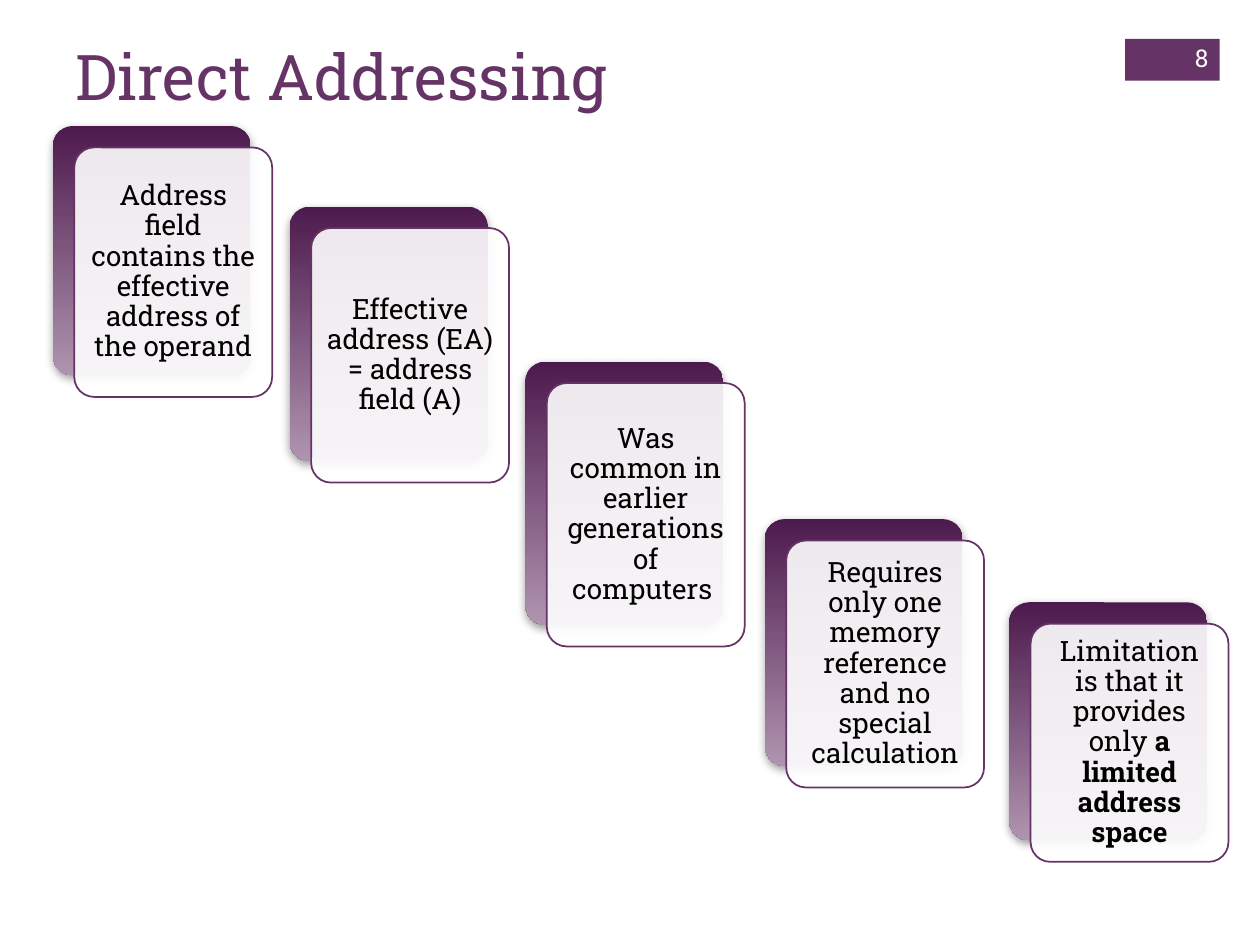
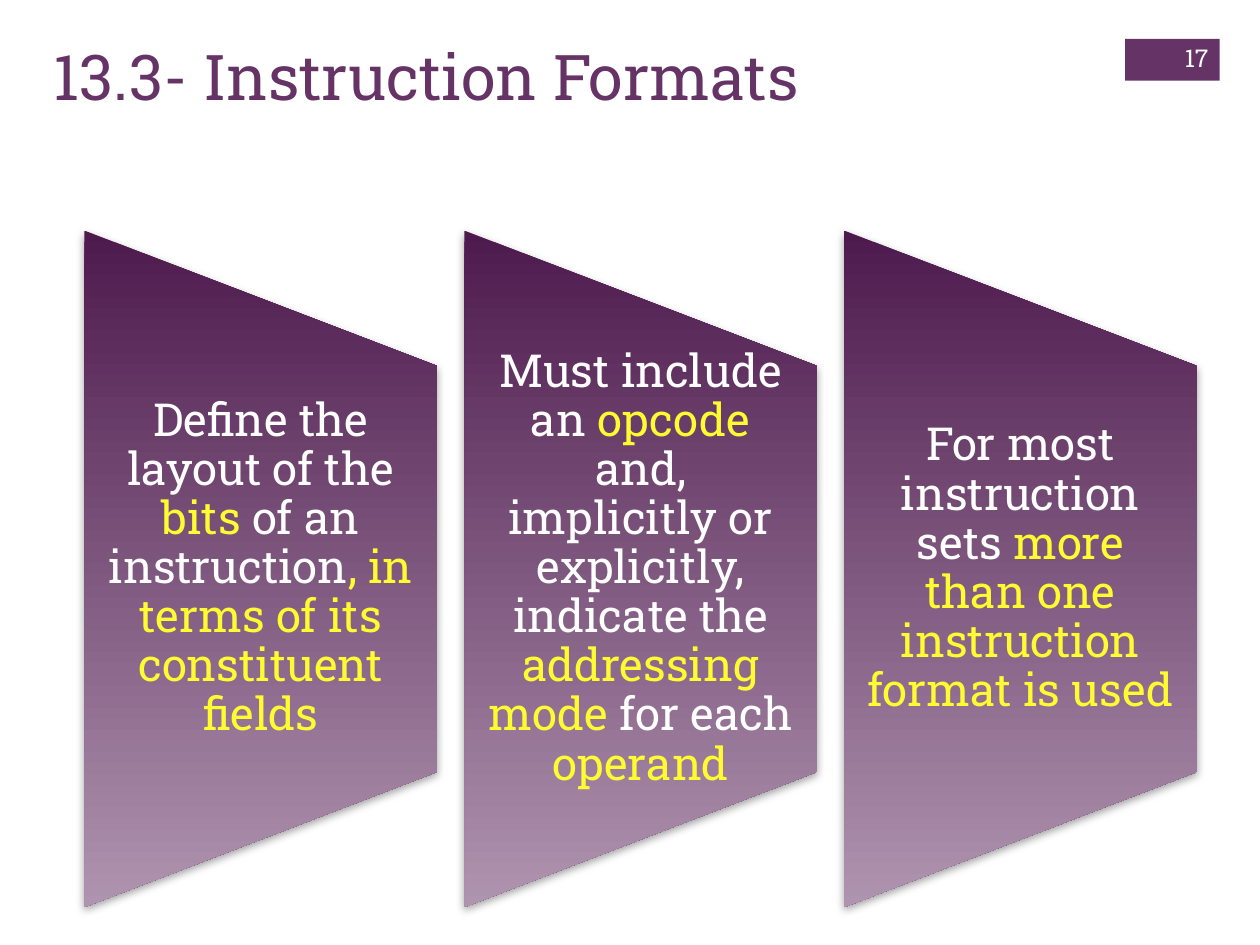
from dataclasses import dataclass
from lxml import etree
from pptx import Presentation
from pptx.dml.color import RGBColor
from pptx.enum.shapes import MSO_SHAPE
from pptx.enum.text import MSO_ANCHOR, PP_ALIGN
from pptx.oxml.ns import qn
from pptx.shapes.autoshape import Shape
from pptx.slide import Slide
from pptx.text.text import TextFrame
from pptx.util import Inches, Pt

RECT = MSO_SHAPE.RECTANGLE
ROUND = MSO_SHAPE.ROUNDED_RECTANGLE
TRAPEZE = MSO_SHAPE.FLOWCHART_MANUAL_OPERATION
LEFT, CENTER, RIGHT = PP_ALIGN.LEFT, PP_ALIGN.CENTER, PP_ALIGN.RIGHT
TOP, MIDDLE = MSO_ANCHOR.TOP, MSO_ANCHOR.MIDDLE


@dataclass(frozen=True)
class Theme:
    font: str = "Roboto Slab"
    plum: str = "663366"
    dark: str = "4D1A4D"
    light: str = "AF94AF"
    shade: str = "808080"
    white: str = "FFFFFF"
    black: str = "000000"
    yellow: str = "FEFB31"
    title: int = 36
    panel: int = 26
    card: int = 16
    page: int = 14


THEME = Theme()


@dataclass(frozen=True)
class Box:
    left: float
    top: float
    width: float
    height: float

    def lengths(self) -> tuple[Inches, ...]:
        return tuple(Inches(n) for n in (self.left, self.top, self.width, self.height))

    def shift(self, step: float) -> "Box":
        return Box(self.left + step, self.top + step, self.width, self.height)


@dataclass(frozen=True)
class Run:
    text: str
    color: str = THEME.white
    bold: bool = False


@dataclass(frozen=True)
class Card:
    left: float
    top: float
    height: float
    runs: tuple[Run, ...]


def dark(text: str, bold: bool = False) -> Run:
    return Run(text, THEME.black, bold)


def key(text: str) -> Run:
    return Run(text, THEME.yellow)


CARD_WIDTH = 1.57
CARD_STEP = 0.17
CARDS = (
    Card(0.42, 1.0, 1.98, (dark("Address field contains the effective address of the operand"),)),
    Card(2.3, 1.64, 2.02, (dark("Effective address (EA) = address field (A)"),)),
    Card(4.17, 2.87, 2.09, (dark("Was common in earlier generations of computers "),)),
    Card(6.07, 4.12, 1.96, (dark("Requires only one memory reference and no special calculation"),)),
    Card(8.01, 4.78, 1.89, (dark("Limitation is that it provides only "),
                            dark("a limited address space", True))),
)

PANEL = Box(0.67, 1.83, 2.8, 5.37)
PANEL_STEP = 3.015
PANEL_TEXT = 3.22
PANELS = (
    (Run("Define the layout of the "), key("bits"), Run(" of an instruction"),
     key(", in terms of its constituent fields")),
    (Run("Must include an "), key("opcode"),
     Run(" and, implicitly or explicitly, indicate the "),
     key("addressing mode "), Run("for each "), key("operand")),
    (Run("For most instruction sets "),
     key("more than one instruction format is used")),
)


def write(frame: TextFrame, runs: tuple[Run, ...], size: int, align: PP_ALIGN,
          anchor: MSO_ANCHOR, side: float = 0.1, edge: float = 0.05,
          space: float = 1.0) -> None:
    frame.word_wrap = True
    frame.vertical_anchor = anchor
    frame.margin_left = frame.margin_right = Inches(side)
    frame.margin_top = frame.margin_bottom = Inches(edge)
    para = frame.paragraphs[0]
    para.alignment = align
    para.line_spacing = space
    for item in runs:
        run = para.add_run()
        run.text = item.text
        run.font.name = THEME.font
        run.font.size = Pt(size)
        run.font.bold = item.bold
        run.font.color.rgb = RGBColor.from_string(item.color)


def add_text(slide: Slide, box: Box) -> TextFrame:
    return slide.shapes.add_textbox(*box.lengths()).text_frame


def add_form(slide: Slide, kind: MSO_SHAPE, box: Box) -> Shape:
    shape = slide.shapes.add_shape(kind, *box.lengths())
    shape.shadow.inherit = False
    shape.line.fill.background()
    return shape


def paint(shape: Shape, color: str) -> None:
    shape.fill.solid()
    shape.fill.fore_color.rgb = RGBColor.from_string(color)


def set_alpha(color: etree.ElementBase, percent: int) -> None:
    etree.SubElement(color, qn("a:alpha")).set("val", str(percent * 1000))


def blend(shape: Shape) -> None:
    shape.fill.gradient()
    shape.fill.gradient_angle = 270
    for stop, color in zip(shape.fill.gradient_stops, (THEME.dark, THEME.light)):
        stop.color.rgb = RGBColor.from_string(color)
    props = shape._element.spPr
    props.find(qn("a:gradFill")).set("rotWithShape", "0")
    shadow = etree.SubElement(props.find(qn("a:effectLst")), qn("a:outerShdw"))
    for name, value in (("blurRad", Pt(5)), ("dist", Pt(2)),
                        ("dir", 90 * 60000), ("rotWithShape", 0)):
        shadow.set(name, str(int(value)))
    color = etree.SubElement(shadow, qn("a:srgbClr"))
    color.set("val", THEME.shade)
    set_alpha(color, 75)


def add_base(deck: Presentation, title: str, left: float, page: int) -> Slide:
    slide = deck.slides.add_slide(deck.slide_layouts[6])
    paint(add_form(slide, RECT, Box(8.93, 0.31, 0.75, 0.33)), THEME.plum)
    write(add_text(slide, Box(left, 0.25, 8.26, 1.22)),
          (Run(title, THEME.plum),), THEME.title, LEFT, TOP)
    write(add_text(slide, Box(9.08, 0.26, 0.61, 0.4)),
          (Run(str(page)),), THEME.page, RIGHT, MIDDLE)
    return slide


def add_card(slide: Slide, card: Card) -> None:
    box = Box(card.left, card.top, CARD_WIDTH, card.height)
    back = add_form(slide, ROUND, box)
    blend(back)
    front = add_form(slide, ROUND, box.shift(CARD_STEP))
    paint(front, THEME.white)
    set_alpha(front._element.spPr.find(qn("a:solidFill"))[0], 90)
    front.line.color.rgb = RGBColor.from_string(THEME.plum)
    front.line.width = Pt(1)
    for shape in (back, front):
        shape.adjustments[0] = 0.1
    write(front.text_frame, card.runs, THEME.card, CENTER, MIDDLE, 0.07, 0.07, 0.9)


def add_panel(slide: Slide, index: int, runs: tuple[Run, ...]) -> None:
    left = PANEL.left + index * PANEL_STEP
    turn = (PANEL.height - PANEL.width) / 2
    shape = add_form(slide, TRAPEZE,
                     Box(left - turn, PANEL.top + turn, PANEL.height, PANEL.width))
    shape.rotation = 270
    blend(shape)
    top = PANEL.top + (PANEL.height - PANEL_TEXT) / 2
    write(add_text(slide, Box(left, top, PANEL.width, PANEL_TEXT)),
          runs, THEME.panel, CENTER, MIDDLE, 0.18, 0, 0.9)


def main() -> None:
    deck = Presentation()
    deck.slide_width, deck.slide_height = Inches(10), Inches(7.5)
    slide = add_base(deck, "Direct Addressing", 0.5, 8)
    for card in CARDS:
        add_card(slide, card)
    slide = add_base(deck, "13.3- Instruction Formats", 0.33, 17)
    for index, runs in enumerate(PANELS):
        add_panel(slide, index, runs)
    deck.save("out.pptx")


if __name__ == "__main__":
    main()
